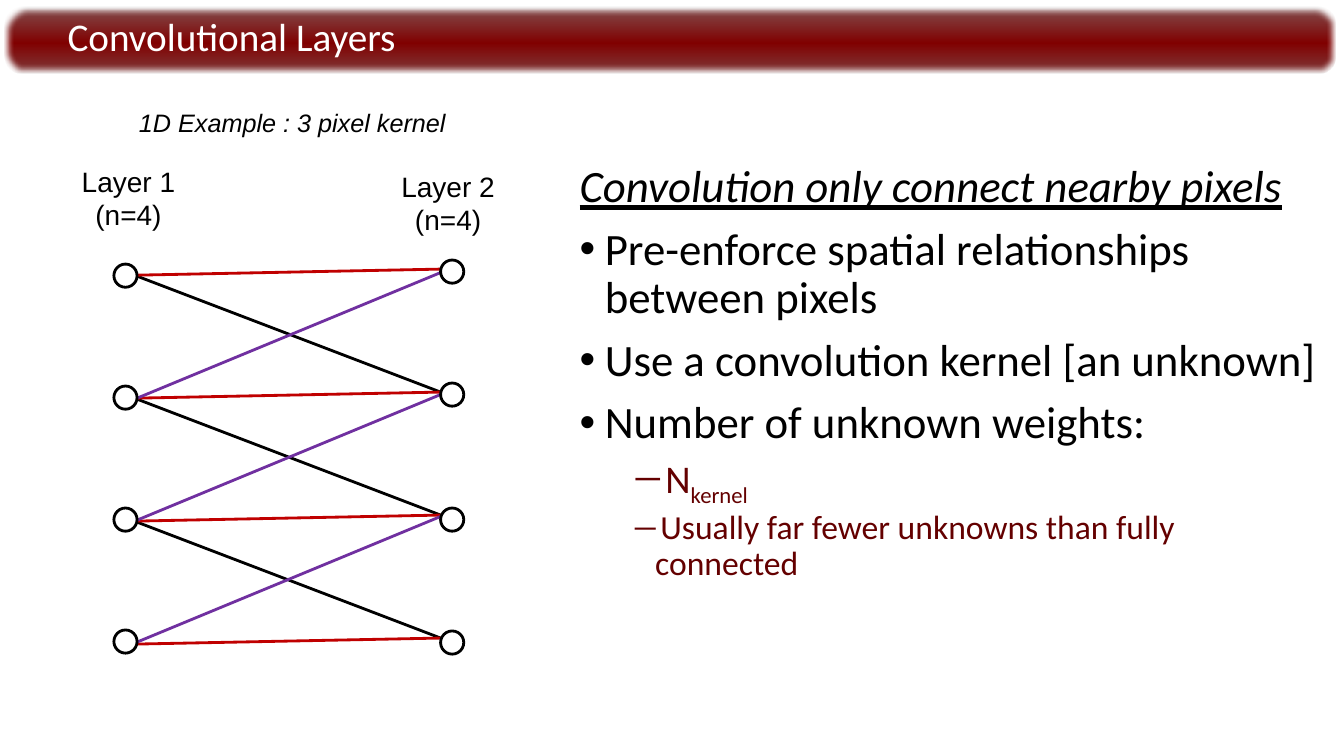
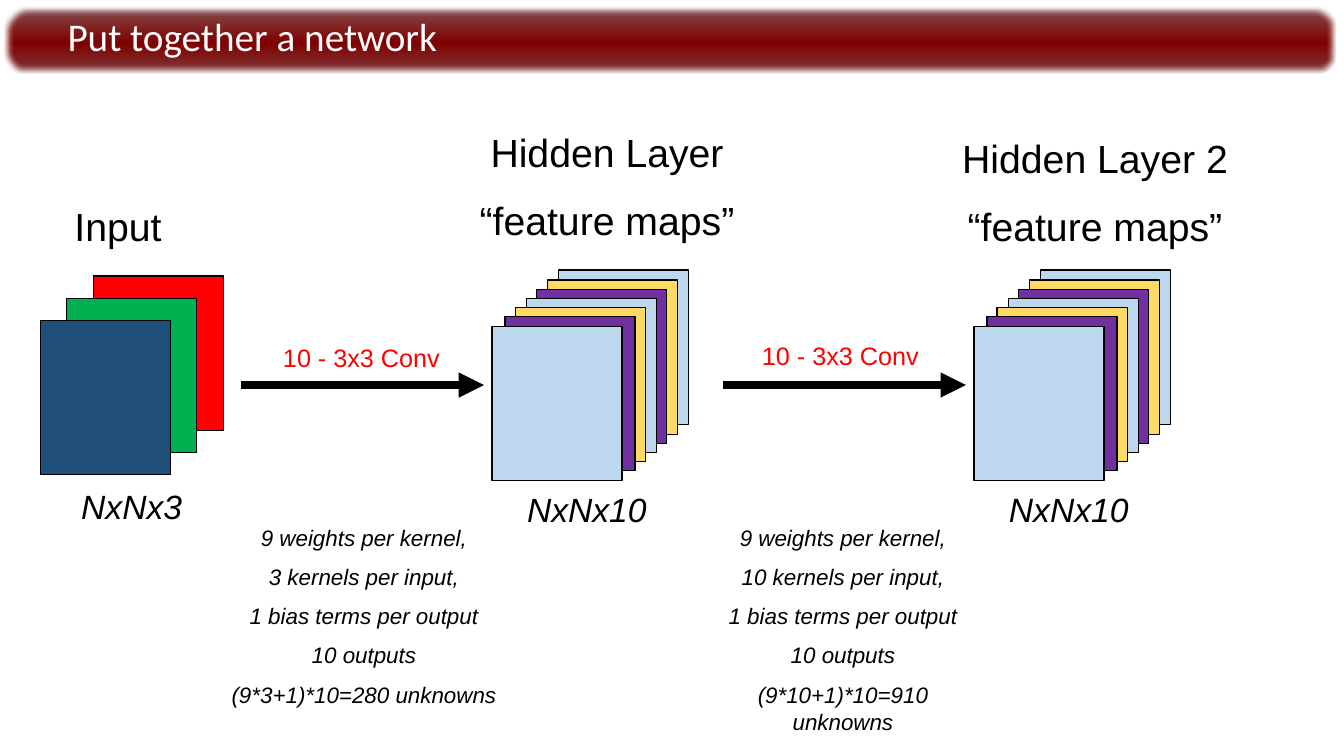
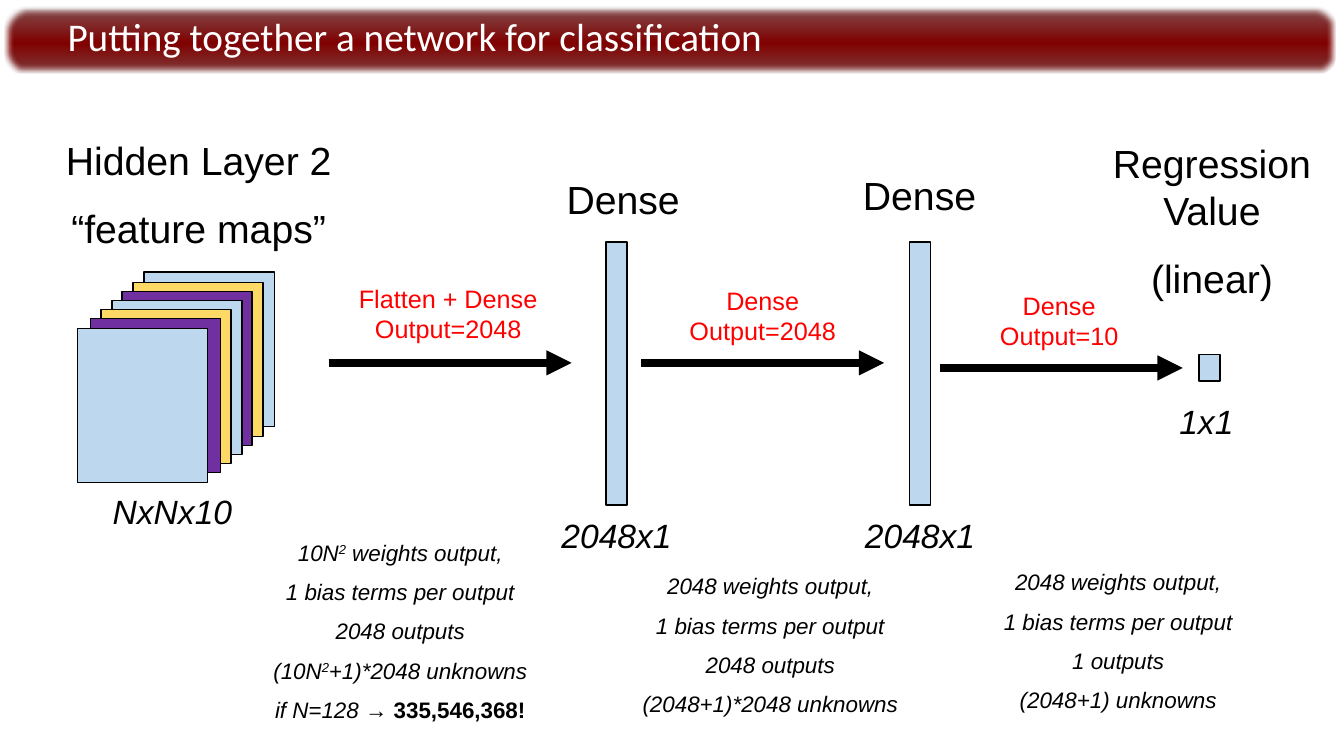
from lxml.etree import SubElement
from pptx import Presentation
from pptx.dml.color import RGBColor
from pptx.enum.shapes import MSO_CONNECTOR as Connector, MSO_SHAPE as Preset
from pptx.enum.text import MSO_ANCHOR as Anchor, PP_ALIGN as Align
from pptx.oxml import parse_xml
from pptx.oxml.ns import nsdecls, qn
from pptx.util import Pt

PX = 9144
BLACK, WHITE, RED = "000000", "FFFFFF", "FF0000"
SKY, GOLD, PURPLE, CRIMSON, MAROON = "BDD7EE", "FFD966", "7030A0", "C00000", "640000"
MAP_COLOURS = [SKY, GOLD, PURPLE] * 2 + [SKY]
MAP_SIZE = (129, 153)
ARROW_LENGTH = 241
BAND_STOPS = [(0, "808080", 50), (5, "814949", 100), (54, "800000", 100),
              (96, "7F3838", 100), (99, "7F6060", 100), (100, "808080", 50)]

HEADING = {"name": "Arial", "size": 28, "color": BLACK}
LAYER_LABEL = HEADING | {"size": 20}
DIMENSION = HEADING | {"size": 24, "italic": True}
CAPTION = HEADING | {"size": 18, "italic": True}
OPERATION = HEADING | {"size": 18, "color": RED}
COUNT = HEADING | {"size": 16, "italic": True}
TITLE = {"name": "Calibri", "size": 28, "color": WHITE}
BODY = TITLE | {"size": 32, "color": BLACK}
SUBPOINT = BODY | {"size": 28, "color": MAROON}


def px(*lengths):
    return [length * PX for length in lengths]


def rgb(value):
    return RGBColor.from_string(value)


def add_run(paragraph, content, style):
    run = paragraph.add_run()
    run.text = content
    for key, value in style.items():
        if key == "color":
            run.font.color.rgb = rgb(value)
        elif key == "baseline":
            run._r.get_or_add_rPr().set("baseline", str(value * 1000))
        else:
            setattr(run.font, key, Pt(value) if key == "size" else value)


def fill_paragraph(paragraph, content, style, **layout):
    for key, value in layout.items():
        setattr(paragraph, key, value)
    runs = [(content, {})] if isinstance(content, str) else content
    for words, changes in runs:
        add_run(paragraph, words, style | changes)


def text_frame(slide, box, wrap=True):
    frame = slide.shapes.add_textbox(*px(*box)).text_frame
    frame.word_wrap = wrap
    return frame


def next_paragraph(frame, index):
    return frame.add_paragraph() if index else frame.paragraphs[0]


def label(slide, box, lines, style, gap=0.55, wrap=False, align=Align.CENTER):
    frame = text_frame(slide, box, wrap)
    for index, content in enumerate(lines):
        fill_paragraph(next_paragraph(frame, index), content, style,
                       alignment=align, space_before=Pt(style["size"] * gap))


def heading(slide, box, *lines):
    label(slide, box, lines, HEADING, wrap=True)


def dimension(slide, box, size):
    label(slide, box, [size], DIMENSION)


def operation(slide, box, *lines):
    label(slide, box, lines, OPERATION, gap=0)


def count(slide, box, *lines):
    label(slide, box, lines, COUNT)


def bullet(paragraph, mark, margin, mark_font):
    properties = paragraph._p.get_or_add_pPr()
    properties.set("marL", str(margin * PX))
    properties.set("indent", str(-25 * PX))
    SubElement(properties, qn("a:buFont")).set("typeface", mark_font)
    SubElement(properties, qn("a:buChar")).set("char", mark)


def shape(slide, preset, box, fill=None, outline=BLACK, width=1):
    item = slide.shapes.add_shape(preset, *px(*box))
    item.shadow.inherit = False
    if fill:
        item.fill.solid()
        item.fill.fore_color.rgb = rgb(fill)
    else:
        item.fill.background()
    if outline:
        item.line.color.rgb = rgb(outline)
        item.line.width = Pt(width)
    else:
        item.line.fill.background()
    return item


def block(slide, box, fill=SKY):
    shape(slide, Preset.RECTANGLE, box, fill)


def link(slide, start, end, colour=BLACK, width=2):
    line = slide.shapes.add_connector(Connector.STRAIGHT, *px(*start, *end))
    line.line.color.rgb = rgb(colour)
    line.line.width = Pt(width)
    SubElement(line._element.spPr, qn("a:effectLst"))
    return line


def arrow(slide, left, top):
    line = link(slide, (left, top), (left + ARROW_LENGTH, top), width=6)
    SubElement(line.line._get_or_add_ln(), qn("a:tailEnd")).set("type", "triangle")


def feature_maps(slide, left, top):
    for depth in range(len(MAP_COLOURS) - 1, 0, -1):
        right, up = 13 + (depth - 1) * 53 // 5, 10 + (depth - 1) * 46 // 5
        block(slide, (left + right, top - up, *MAP_SIZE), MAP_COLOURS[-1 - depth])
    block(slide, (left, top, *MAP_SIZE), MAP_COLOURS[-1])
    dimension(slide, (left + 24, top + 156, 140, 50), "NxNx10")


def title_band(slide, title):
    band = shape(slide, Preset.ROUNDED_RECTANGLE, (5, 7, 1320, 66), outline=None)
    band.adjustments[0] = 0.27
    stops = "".join(
        f'<a:gs pos="{at * 1000}"><a:srgbClr val="{colour}">'
        f'<a:alpha val="{alpha * 1000}"/></a:srgbClr></a:gs>'
        for at, colour, alpha in BAND_STOPS)
    properties = band._element.spPr
    properties.replace(properties.find(qn("a:noFill")), parse_xml(
        f'<a:gradFill {nsdecls("a")}><a:gsLst>{stops}</a:gsLst>'
        '<a:lin ang="5400000" scaled="0"/></a:gradFill>'))
    SubElement(properties.find(qn("a:effectLst")), qn("a:softEdge")).set("rad", "63500")

    frame = text_frame(slide, (67, 11, 1243, 55))
    frame.vertical_anchor = Anchor.MIDDLE
    for side in ("left", "top", "right", "bottom"):
        setattr(frame, f"margin_{side}", 0)
    fill_paragraph(frame.paragraphs[0], title, TITLE, line_spacing=0.9)


def new_slide(deck, title):
    slide = deck.slides.add_slide(deck.slide_layouts[6])
    title_band(slide, title)
    return slide


def kernel_diagram(slide):
    for row in range(3):
        link(slide, (136, 274 + 122 * row), (437, 389 + 122 * row))
    for row in range(4):
        link(slide, (135, 273 + 122 * row), (437, 267 + 122 * row), CRIMSON)
    for row in range(3):
        link(slide, (136, 395 + 121 * row), (438, 270 + 121 * row), PURPLE)
    for left, tops in ((113, (262, 383, 504, 625)), (437, (258, 380, 504, 626))):
        for top in tops:
            shape(slide, Preset.OVAL, (left, top, 23, 23), width=2)


def convolution_slide(deck):
    slide = new_slide(deck, "Convolutional Layers")
    kernel_diagram(slide)
    label(slide, (51, 158, 153, 77), ["Layer 1 (n=4)"], LAYER_LABEL, wrap=True)
    label(slide, (368, 163, 153, 77), ["Layer 2 (n=4)"], LAYER_LABEL, wrap=True)
    label(slide, (128, 102, 334, 40), ["1D Example : 3 pixel kernel"], CAPTION,
          align=Align.LEFT)

    point, subpoint = ("•", 25, "Arial"), ("―", 75, "Calibri")
    points = [
        ("Convolution only connect nearby pixels",
         BODY | {"italic": True, "underline": True}, None),
        ("Pre-enforce spatial relationships between pixels", BODY, point),
        ("Use a convolution kernel [an unknown]", BODY, point),
        ("Number of unknown weights:", BODY, point),
        ([("N", {}), ("kernel", {"baseline": -25})], SUBPOINT, subpoint),
        ("Usually far fewer unknowns than fully connected",
         SUBPOINT | {"size": 24}, subpoint),
    ]
    frame = text_frame(slide, (565, 158, 755, 528))
    for index, (content, style, marker) in enumerate(points):
        paragraph = next_paragraph(frame, index)
        fill_paragraph(paragraph, content, style, line_spacing=0.9,
                       level=int(marker == subpoint),
                       space_before=Pt(5 if marker == subpoint else 10))
        if marker:
            bullet(paragraph, *marker)


def network_slide(deck):
    slide = new_slide(deck, "Put together a network")
    for depth, colour in ((2, RED), (1, "00B050"), (0, "1F4E79")):
        block(slide, (40 + depth * 53 // 2, 318 - 22 * depth, *MAP_SIZE), colour)
    heading(slide, (37, 196, 160, 57), "Input")
    dimension(slide, (70, 477, 121, 50), "NxNx3")

    heading(slide, (461, 122, 282, 128), "Hidden Layer", "“feature maps”")
    heading(slide, (929, 128, 314, 128), "Hidden Layer 2", "“feature maps”")
    for left in (488, 966):
        feature_maps(slide, left, 324)
        arrow(slide, left - 249, 382)
    operation(slide, (270, 335, 177, 40), "10 - 3x3 Conv")
    operation(slide, (745, 333, 177, 40), "10 - 3x3 Conv")

    for left, width, kernels, total in (
            (218, 286, "3", "(9*3+1)*10=280 unknowns"),
            (690, 292, "10", "(9*10+1)*10=910 unknowns")):
        count(slide, (left, 515, width, 199), "9 weights per kernel,",
              f"{kernels} kernels per input,", "1 bias terms per output",
              "10 outputs", total)


def classification_slide(deck):
    slide = new_slide(deck, "Putting together a network for classification")
    feature_maps(slide, 77, 326)
    heading(slide, (40, 130, 314, 128), "Hidden Layer 2", "“feature maps”")
    heading(slide, (527, 169, 182, 57), "Dense")
    heading(slide, (821, 165, 182, 57), "Dense")
    heading(slide, (1091, 133, 222, 175), "Regression Value", "(linear)")

    for left in (601, 902):
        block(slide, (left, 240, 21, 261))
        dimension(slide, (left - 55, 506, 131, 50), "2048x1")
    block(slide, (1189, 352, 21, 26))
    dimension(slide, (1159, 393, 75, 50), "1x1")

    for left, top in ((326, 360), (636, 360), (932, 365)):
        arrow(slide, left, top)
    operation(slide, (345, 276, 199, 71), "Flatten + Dense", "Output=2048")
    operation(slide, (673, 278, 167, 71), "Dense", "Output=2048")
    operation(slide, (981, 283, 139, 71), "Dense", "Output=10")

    squared = ("2", {"baseline": 30})
    bias = "1 bias terms per output"
    count(slide, (259, 530, 276, 204),
          [("10N", {}), squared, (" weights output,", {})],
          bias, "2048 outputs",
          [("(10N", {}), squared, ("+1)*2048 unknowns", {})],
          [("if N=128 → ", {}), ("335,546,368!", {"italic": False, "bold": True})])
    count(slide, (626, 563, 276, 158), "2048 weights output,", bias,
          "2048 outputs", "(2048+1)*2048 unknowns")
    count(slide, (984, 559, 250, 158), "2048 weights output,", bias,
          "1 outputs", "(2048+1) unknowns")


def main():
    deck = Presentation()
    deck.slide_width, deck.slide_height = px(1333, 750)
    convolution_slide(deck)
    network_slide(deck)
    classification_slide(deck)
    deck.save("out.pptx")


if __name__ == "__main__":
    main()
